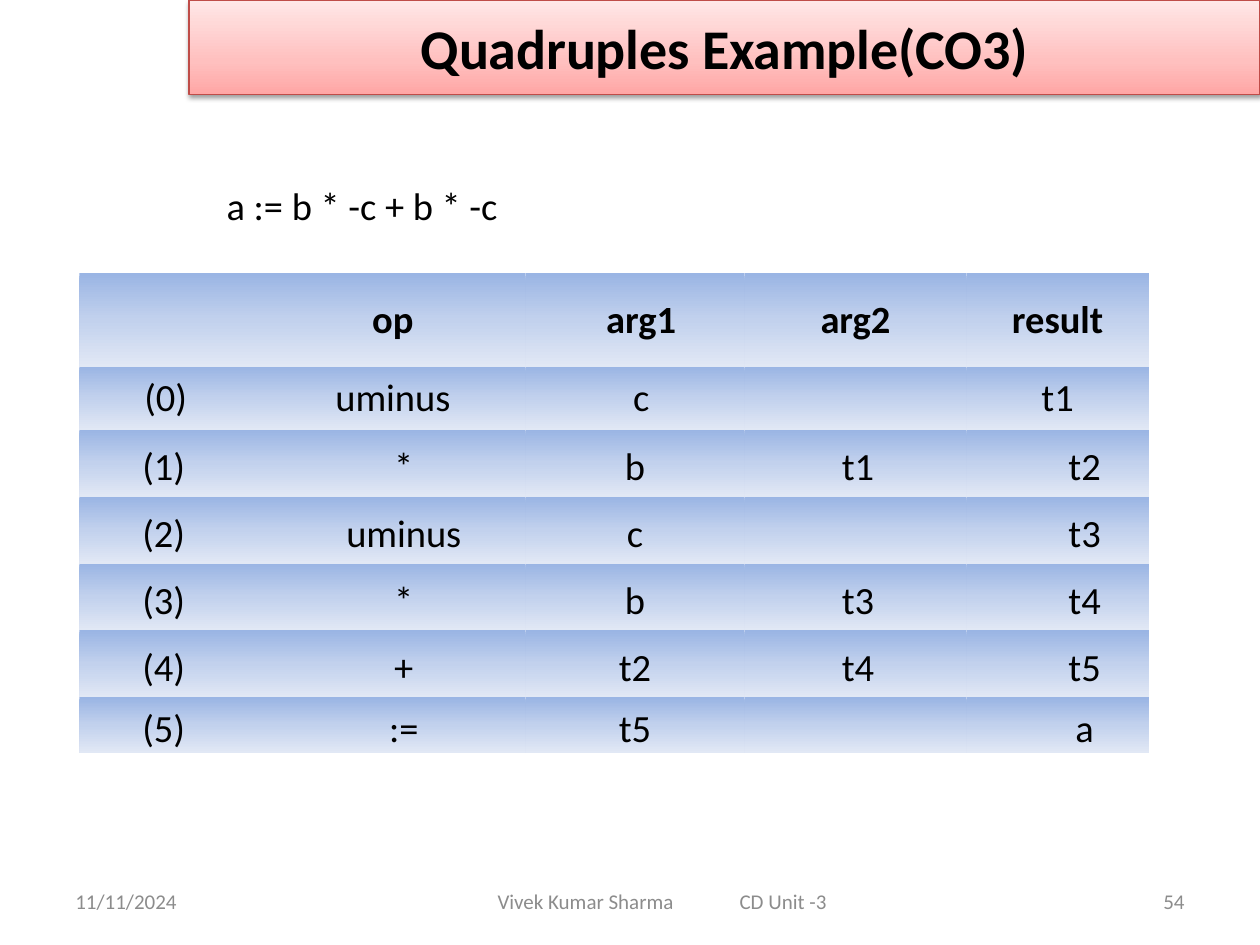
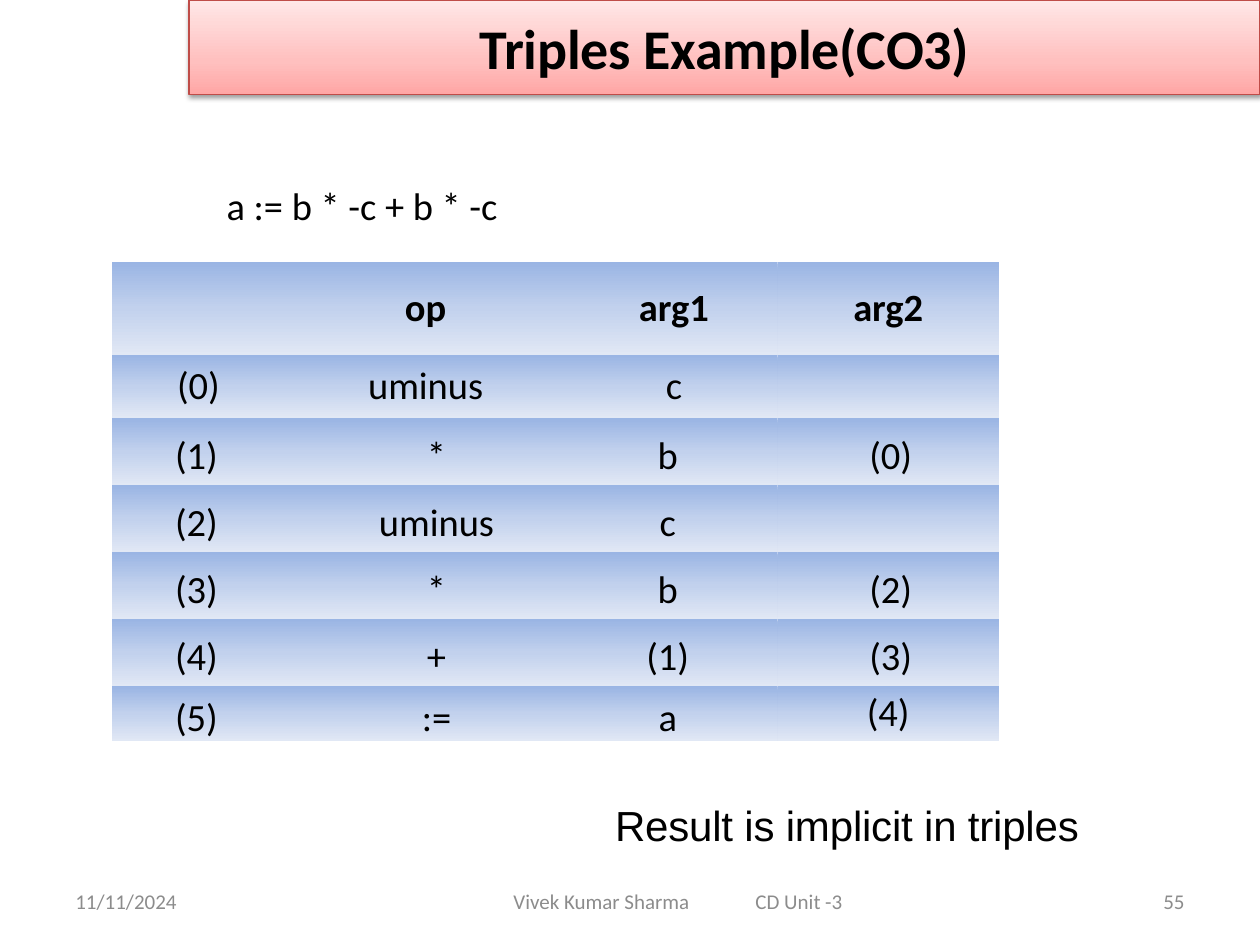
from lxml import etree
from pptx import Presentation
from pptx.dml.color import RGBColor
from pptx.enum.text import MSO_ANCHOR, PP_ALIGN
from pptx.oxml.ns import qn
from pptx.util import Cm, Pt

LEFT, CENTER, RIGHT = PP_ALIGN.LEFT, PP_ALIGN.CENTER, PP_ALIGN.RIGHT
TOP, MIDDLE = MSO_ANCHOR.TOP, MSO_ANCHOR.MIDDLE
TITLE_ONLY = 5
PLAIN_TABLE_STYLE = "{2D5ABB26-0587-4C30-8999-92F81FD0307C}"

COLORS = {
    "text": "000000", "footer": "8C8C8C", "band_line": "BF4C48",
    "band_dark": "FFA6A5", "band_mid": "FFC0BF", "band_light": "FFE7E7",
    "cell_dark": "9AB5E4", "cell_mid": "C2D1ED", "cell_light": "E1E8F5",
}
BAND_STOPS = [(0, "band_dark"), (35, "band_mid"), (100, "band_light")]
CELL_STOPS = [(0, "cell_dark"), (50, "cell_mid"), (100, "cell_light")]

# Boxes are left, top, width, height in centimetres.
TITLE_BOX = (3.81, 0, 21.59, 1.9)
EXPRESSION_BOX = (4.24, 3.61, 11.86, 2.03)
NOTE_BOX = (12.37, 16.08, 9.52, 1.09)
FOOTER_TOP, FOOTER_HEIGHT = 17.65, 1.02
FOOTER_TEXT_WIDTH, FOOTER_TAB = 6.64, 4.88

COLUMN_WIDTHS = [3.4, 5.59, 4.42, 4.47, 3.68]
ROW_HEIGHTS = [1.88, 1.27, 1.35, 1.35, 1.35, 1.35, 1.09]
UPPER_INDENTS = [0.08, 0.25, 0.25, 0, 0]
LOWER_INDENTS = [0, 0.69, 0, 0.1, 1.09]
LOWER_CELL_MARGIN = 0.18

EXPRESSION = "a := b * -c + b * -c"
QUADRUPLES = [
    ["", "op", "arg1", "arg2", "result"],
    ["(0)", "uminus", "c", "", "t1"],
    ["(1)", "*", "b", "t1", "t2"],
    ["(2)", "uminus", "c", "", "t3"],
    ["(3)", "*", "b", "t3", "t4"],
    ["(4)", "+", "t2", "t4", "t5"],
    ["(5)", ":=", "t5", "", "a"],
]
TRIPLES = [
    ["", "op", "arg1", "arg2"],
    ["(0)", "uminus", "c", ""],
    ["(1)", "*", "b", "(0)"],
    ["(2)", "uminus", "c", ""],
    ["(3)", "*", "b", "(2)"],
    ["(4)", "+", "(1)", "(3)"],
    ["(5)", ":=", "a", "(4)"],
]


def add_element(parent, tag, **attributes):
    values = {name: str(value) for name, value in attributes.items()}
    return etree.SubElement(parent, qn(tag), values)


def add_gradient(properties, stops, degrees):
    gradient = add_element(properties, "a:gradFill", rotWithShape=1)
    stop_list = add_element(gradient, "a:gsLst")
    for percent, color in stops:
        stop = add_element(stop_list, "a:gs", pos=percent * 1000)
        add_element(stop, "a:srgbClr", val=COLORS[color])
    add_element(gradient, "a:lin", ang=degrees * 60000, scaled=0)


def add_shadow(properties):
    effects = add_element(properties, "a:effectLst")
    shadow = add_element(effects, "a:outerShdw", blurRad=Pt(3.1), dist=Pt(1.6),
                         dir=90 * 60000, rotWithShape=0)
    color = add_element(shadow, "a:srgbClr", val=COLORS["text"])
    add_element(color, "a:alpha", val=38000)


def format_paragraph(paragraph, size, alignment=LEFT, color="text",
                     font_name="Calibri", bold=False, spacing=None, indent=0):
    paragraph.alignment = alignment
    paragraph._p.get_or_add_pPr().set("marL", str(Cm(indent)))
    for run in paragraph.runs:
        run.font.name = font_name
        run.font.size = Pt(size)
        run.font.bold = bold
        run.font.color.rgb = RGBColor.from_string(COLORS[color])
        if spacing is not None:
            run._r.get_or_add_rPr().set("spc", str(round(spacing * 100)))


def add_text(slide, box, text, size, anchor=TOP, **formatting):
    text_frame = slide.shapes.add_textbox(*map(Cm, box)).text_frame
    text_frame.word_wrap = True
    text_frame.vertical_anchor = anchor
    text_frame.text = text
    format_paragraph(text_frame.paragraphs[0], size, **formatting)
    return text_frame


def format_title(slide, text):
    title = slide.shapes.title
    title.left, title.top, title.width, title.height = map(Cm, TITLE_BOX)
    properties = title._element.spPr
    add_gradient(properties, BAND_STOPS, 270)
    title.line.color.rgb = RGBColor.from_string(COLORS["band_line"])
    title.line.width = Pt(0.75)
    add_shadow(properties)
    title.text_frame.text = text
    title.text_frame.vertical_anchor = MIDDLE
    format_paragraph(title.text_frame.paragraphs[0], 32, CENTER,
                     bold=True, spacing=-0.1)


def add_footers(slide, number, credit_width):
    def add_footer(left, width, text, alignment=LEFT):
        box = (left, FOOTER_TOP, width, FOOTER_HEIGHT)
        return add_text(slide, box, text, 12, MIDDLE, color="footer",
                        alignment=alignment)

    add_footer(1.27, 5.92, "11/11/2024")
    add_footer(18.21, 5.92, str(number), RIGHT)
    credit = add_footer(8.69, credit_width, "Vivek Kumar Sharma\tCD Unit -3")
    credit.margin_left = Cm((credit_width - FOOTER_TEXT_WIDTH) / 2)
    credit.margin_right = 0
    tabs = add_element(credit.paragraphs[0]._p.get_or_add_pPr(), "a:tabLst")
    add_element(tabs, "a:tab", pos=Cm(FOOTER_TAB), algn="l")


def place_cell_text(cell, indent, top_margin, bold=False):
    cell.margin_left = cell.margin_right = cell.margin_bottom = 0
    cell.margin_top = Cm(top_margin)
    cell.vertical_anchor = MIDDLE
    format_paragraph(cell.text_frame.paragraphs[0], 22, CENTER,
                     bold=bold, indent=indent)


def add_code_table(slide, left, top, rows):
    widths = COLUMN_WIDTHS[:len(rows[0])]
    frame = slide.shapes.add_table(
        len(rows), len(widths), Cm(left), Cm(top),
        Cm(sum(widths)), Cm(sum(ROW_HEIGHTS)))
    table = frame.table
    table.first_row = table.horz_banding = False
    table._tbl.tblPr.find(qn("a:tableStyleId")).text = PLAIN_TABLE_STYLE
    for column, width in zip(table.columns, widths):
        column.width = Cm(width)
    for row, height in zip(table.rows, ROW_HEIGHTS):
        row.height = Cm(height)
    for row_index, values in enumerate(rows):
        upper = row_index < 2
        indents = UPPER_INDENTS if upper else LOWER_INDENTS
        for column_index, value in enumerate(values):
            cell = table.cell(row_index, column_index)
            cell.text_frame.text = value
            place_cell_text(cell, indents[column_index],
                            0 if upper else LOWER_CELL_MARGIN,
                            bold=row_index == 0)
            add_gradient(cell._tc.get_or_add_tcPr(), CELL_STOPS, 90)
    return table


def add_example_slide(presentation, title, number, credit_width):
    """Add a slide with the parts that both examples share."""
    slide = presentation.slides.add_slide(presentation.slide_layouts[TITLE_ONLY])
    format_title(slide, title)
    expression = add_text(slide, EXPRESSION_BOX, EXPRESSION, 22, indent=0.08)
    expression.paragraphs[0].line_spacing = Pt(24.8)
    add_footers(slide, number, credit_width)
    return slide


def add_quadruples_slide(presentation):
    slide = add_example_slide(presentation, "Quadruples Example(CO3)", 54, 9.32)
    add_code_table(slide, 1.6, 5.51, QUADRUPLES)


def add_triples_slide(presentation):
    slide = add_example_slide(presentation, "Triples Example(CO3)", 55, 9.96)
    table = add_code_table(slide, 2.26, 5.28, TRIPLES)
    place_cell_text(table.cell(6, 3), 0, 0)
    note = add_text(slide, NOTE_BOX, "Result is implicit in triples", 24,
                    font_name="Arial", spacing=-0.1, indent=0.03)
    note.margin_left = note.margin_right = note.margin_bottom = 0
    note.margin_top = Cm(0.03)


def main():
    presentation = Presentation()
    presentation.slide_width, presentation.slide_height = Cm(25.4), Cm(19.05)
    add_quadruples_slide(presentation)
    add_triples_slide(presentation)
    presentation.save("out.pptx")


if __name__ == "__main__":
    main()
